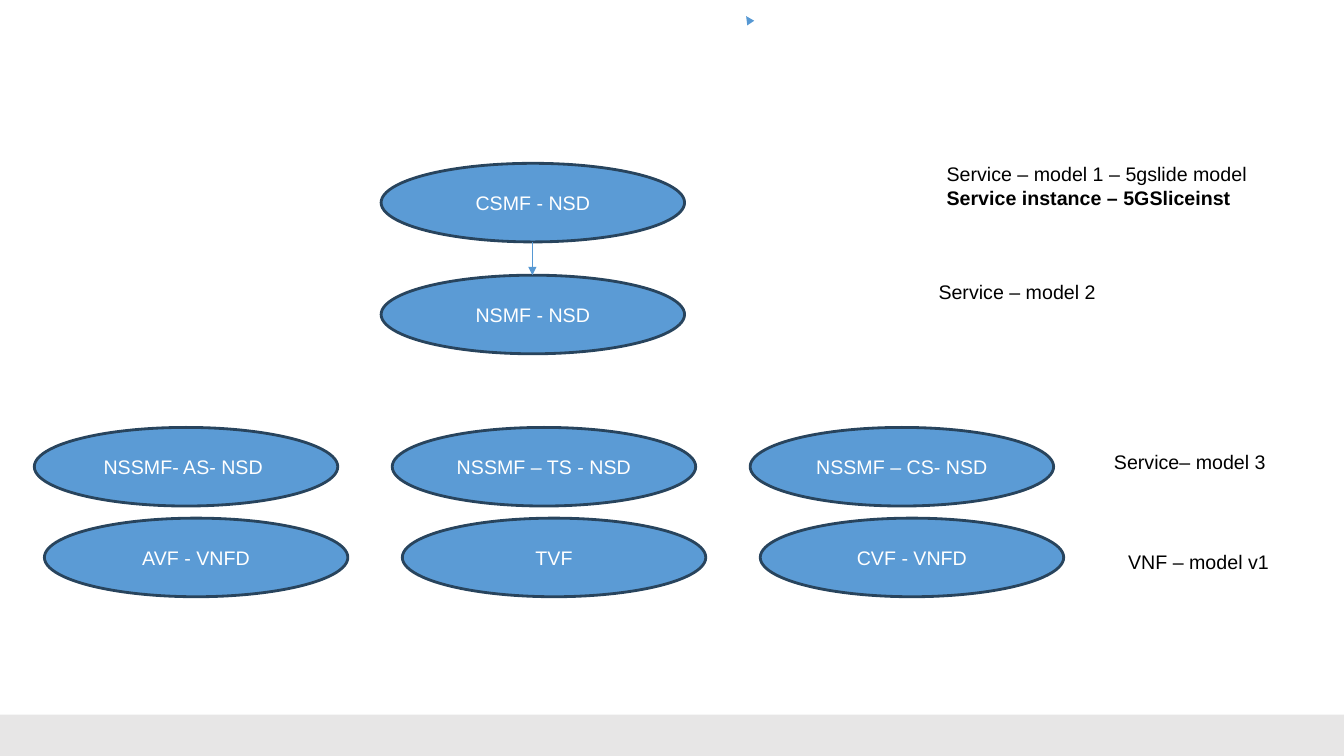
from pptx import Presentation
from pptx.dml.color import RGBColor
from pptx.enum.shapes import MSO_CONNECTOR, MSO_SHAPE
from pptx.enum.text import MSO_ANCHOR, PP_ALIGN
from pptx.oxml.ns import qn
from pptx.util import Inches, Pt
from lxml.etree import SubElement

NODE_WIDTH, NODE_HEIGHT = 3.01, 0.78
COLUMN_STEP = 3.55


def color(value):
    return RGBColor.from_string(value)


def write_text(para, text, size=14, ink="000000", bold=False, align=PP_ALIGN.LEFT):
    para.alignment = align
    span = para.add_run()
    span.text = text
    span.font.name = "Arial"
    span.font.size = Pt(size)
    span.font.bold = bold
    span.font.color.rgb = color(ink)


def add_filled(page, kind, left, top, width, height, fill):
    shape = page.shapes.add_shape(
        kind, Inches(left), Inches(top), Inches(width), Inches(height))
    shape.shadow.inherit = False
    shape.fill.solid()
    shape.fill.fore_color.rgb = color(fill)
    shape.line.fill.background()
    return shape


def add_node(page, text, left, top):
    node = add_filled(page, MSO_SHAPE.OVAL, left, top, NODE_WIDTH, NODE_HEIGHT, "5B9BD5")
    node.line.color.rgb = color("28445D")
    node.line.width = Pt(2)
    node.text_frame.word_wrap = True
    node.text_frame.vertical_anchor = MSO_ANCHOR.MIDDLE
    write_text(node.text_frame.paragraphs[0], text, ink="FFFFFF", align=PP_ALIGN.CENTER)


def add_arrow(page, start, end):
    arrow = page.shapes.add_connector(
        MSO_CONNECTOR.STRAIGHT, *[Inches(value) for value in (*start, *end)])
    arrow.line.color.rgb = color("5698D3")
    arrow.line.width = Pt(0.75)
    SubElement(arrow.line._get_or_add_ln(), qn("a:tailEnd"), type="triangle")
    SubElement(arrow._element.spPr, qn("a:effectLst"))


def add_label(page, lines, left, top, width=1.98, height=0.34):
    box = page.shapes.add_textbox(
        Inches(left), Inches(top), Inches(width), Inches(height))
    frame = box.text_frame
    frame.word_wrap = True
    for index, (text, bold) in enumerate(lines):
        para = frame.add_paragraph() if index else frame.paragraphs[0]
        write_text(para, text, bold=bold)


def main():
    deck = Presentation()
    deck.slide_width, deck.slide_height = Inches(13.33), Inches(7.5)
    page = deck.slides.add_slide(deck.slide_layouts[6])

    add_filled(page, MSO_SHAPE.RECTANGLE, 0, 7.09, 13.36, 0.43, "E7E6E6")

    add_node(page, "CSMF - NSD", 3.78, 1.62)
    add_node(page, "NSMF - NSD", 3.78, 2.73)
    rows = [
        (0.34, 4.24, ["NSSMF- AS- NSD ", "NSSMF – TS - NSD", "NSSMF – CS- NSD"]),
        (0.44, 5.14, ["AVF - VNFD", "TVF", "CVF - VNFD"]),
    ]
    for left, top, names in rows:
        for column, name in enumerate(names):
            add_node(page, name, left + column * COLUMN_STEP, top)

    add_arrow(page, (7.44, 0.22), (7.4, 0.16))
    add_arrow(page, (5.28, 2.4), (5.28, 2.73))

    add_label(page, [("Service – model 1 – 5gslide model", False),
                     ("Service instance – 5GSliceinst", True)], 9.29, 1.56, 3.55, 0.57)
    for text, left, top in [("Service – model 2", 9.21, 2.73),
                            ("Service– model 3", 10.95, 4.41),
                            ("VNF – model v1", 11.09, 5.41)]:
        add_label(page, [(text, False)], left, top)

    deck.save("out.pptx")


if __name__ == "__main__":
    main()
